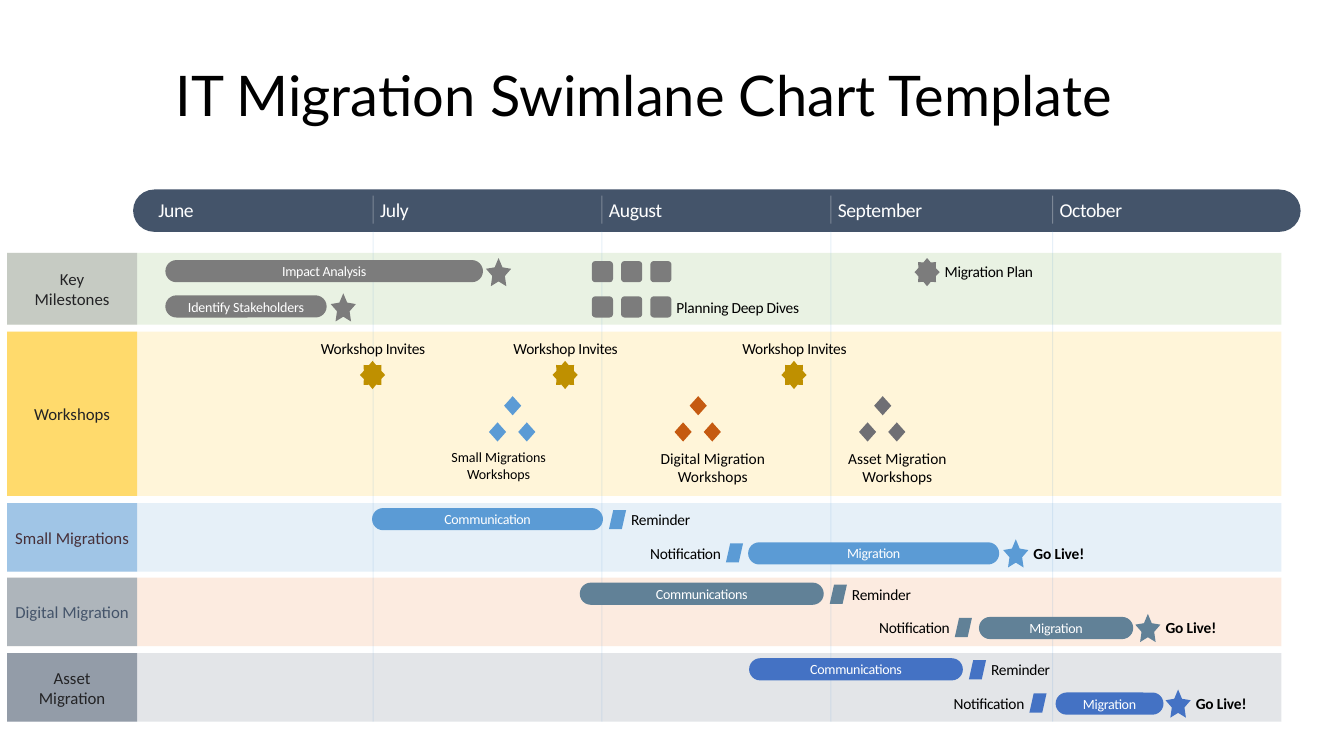
from lxml.etree import SubElement
from pptx import Presentation
from pptx.dml.color import RGBColor
from pptx.enum.shapes import MSO_CONNECTOR, MSO_SHAPE
from pptx.enum.text import MSO_ANCHOR, MSO_AUTO_SIZE, PP_ALIGN
from pptx.oxml.ns import qn
from pptx.util import Inches, Pt

GREY, BLUE, SLATE, ROYAL, NAVY = "7C7C7C", "5B9BD5", "618197", "4472C4", "44546A"
GOLD, INK, BLACK, WHITE = "BF9000", "232325", "000000", "FFFFFF"
LEFT, CENTER, RIGHT = PP_ALIGN.LEFT, PP_ALIGN.CENTER, PP_ALIGN.RIGHT
RECT, PILL = MSO_SHAPE.RECTANGLE, MSO_SHAPE.ROUNDED_RECTANGLE
STAR, BURST = MSO_SHAPE.STAR_5_POINT, MSO_SHAPE.STAR_8_POINT
SLANT, DIAMOND = MSO_SHAPE.PARALLELOGRAM, MSO_SHAPE.DIAMOND

prs = Presentation()
prs.slide_width, prs.slide_height = Inches(13.33), Inches(7.5)
slide = prs.slides.add_slide(prs.slide_layouts[5])


def paint(fill, color, owner=None, opacity=100):
    fill.solid()
    fill.fore_color.rgb = RGBColor.from_string(color)
    if opacity < 100:
        tone = next(owner.iter(qn("a:srgbClr")))
        SubElement(tone, qn("a:alpha"), val=str(opacity * 1000))


def place(kind, x, y, w, h, fill=None, opacity=100, words="", size=11,
          color=BLACK, align=CENTER, spacing=-20, bold=False, adjust=None, wrap=True):
    """Add a preset shape, or a text box when kind is None."""
    box = [Inches(v) for v in (x, y, w, h)]
    if kind is None:
        item = slide.shapes.add_textbox(*box)
    else:
        item = slide.shapes.add_shape(kind, *box)
        item.shadow.inherit = False
        item.line.fill.background()
        paint(item.fill, fill, item.element.spPr, opacity)
    if adjust is not None:
        item.adjustments[0] = adjust
    if words:
        frame = item.text_frame
        settings = {"margin_left": 0, "margin_right": 0, "margin_top": 0, "margin_bottom": 0,
                    "word_wrap": wrap, "vertical_anchor": MSO_ANCHOR.MIDDLE, "text": words}
        for name, value in settings.items():
            setattr(frame, name, value)
        for paragraph in frame.paragraphs:
            paragraph.alignment = align
            for run in paragraph.runs:
                for name, value in {"size": Pt(size), "name": "Calibri", "bold": bold}.items():
                    setattr(run.font, name, value)
                paint(run.font.fill, color)
                if spacing:
                    run.font._element.set("spc", str(spacing))


# Title
title = slide.shapes.title
for name, value in {"left": 1.64, "top": 0.55, "width": 9.57, "height": 0.77}.items():
    setattr(title, name, Inches(value))
title.text_frame.text = "IT Migration Swimlane Chart Template"
title.text_frame.auto_size = MSO_AUTO_SIZE.NONE
title.text_frame.vertical_anchor = MSO_ANCHOR.MIDDLE
heading = title.text_frame.paragraphs[0]
heading.alignment = LEFT
heading.font.size, heading.font.name = Pt(40), "Lato"
paint(heading.font.fill, BLACK)

# Lanes: name, top, height, band colour, label fill, label text colour
lanes = [
    ("Key\nMilestones", 2.51, 0.71, "70AD47", "A5A5A5", INK),
    ("Workshops", 3.29, 1.63, "FFC000", "FFC000", INK),
    ("Small Migrations", 4.99, 0.68, BLUE, BLUE, "47313A"),
    ("Digital Migration", 5.73, 0.68, "ED7D31", SLATE, NAVY),
    ("Asset\vMigration", 6.48, 0.68, NAVY, NAVY, INK),
]
for lane, top, height, band, label_fill, label_color in lanes:
    place(RECT, 0.07, top, 12.64, height, band, 15)
    place(RECT, 0.07, top, 1.29, height, label_fill, 50, lane, 12, label_color, spacing=0)

# Month header and dividers
place(PILL, 1.32, 1.88, 11.58, 0.42, NAVY, adjust=0.5)
months = [("June", 1.5, 0.45), ("July", 3.7, 0.38), ("August", 5.97, 0.6),
          ("September", 8.24, 0.94), ("October", 10.44, 0.69)]
for month, x, width in months:
    place(None, x + 0.07, 1.94, width, 0.28, words=month, size=14, color=WHITE,
          align=LEFT, spacing=-30, wrap=False)
for month, x, width in months[1:]:
    for top, bottom, color, opacity in [(2.29, 7.16, BLUE, 15), (1.94, 2.22, WHITE, 30)]:
        divider = slide.shapes.add_connector(
            MSO_CONNECTOR.STRAIGHT, Inches(x), Inches(top), Inches(x), Inches(bottom))
        divider.line.width = Pt(0.75)
        paint(divider.line.fill, color, divider.element.spPr, opacity)
        SubElement(divider.element.spPr, qn("a:effectLst"))

# Key milestones
for task, top, width, star_x, spacing in [("Impact Analysis", 2.58, 3.15, 4.82, -20),
                                          ("Identify Stakeholders", 2.93, 1.6, 3.28, -10)]:
    place(PILL, 1.64, top, width, 0.22, GREY, words=task, size=10, color=WHITE,
          spacing=spacing, adjust=0.5)
    place(STAR, star_x, top - 0.02, 0.25, 0.28, GREY, adjust=0.25)
    for column in range(3):
        place(PILL, 5.87 + 0.29 * column, top + 0.01, 0.21, 0.21, GREY)
place(None, 6.71, 2.92, 1.43, 0.25, words="Planning Deep Dives", align=LEFT)
place(BURST, 9.07, 2.56, 0.25, 0.28, GREY)
place(None, 9.37, 2.57, 1.06, 0.25, words="Migration Plan", align=LEFT)

# Workshops
for x in (3.57, 5.48, 7.75):
    place(BURST, x, 3.58, 0.25, 0.28, GOLD)
    place(None, x - 0.48, 3.33, 1.22, 0.25, words="Workshop Invites")
workshops = [
    ("Small Migrations Workshops", 5.0, BLUE, 4.37, 1.15, 0.45, 10),
    ("Digital Migration Workshops", 6.84, "C55A11", 6.43, 1.28, 0.49, 11),
    ("Asset Migration Workshops", 8.67, "6F6F74", 8.29, 1.22, 0.49, 11),
]
for workshop, x, color, label_x, width, height, size in workshops:
    for dx, y in [(0, 3.93), (-0.15, 4.19), (0.14, 4.19)]:
        place(DIAMOND, x + dx, y, 0.17, 0.19, color)
    place(None, label_x, 4.39, width, height, words=workshop, size=size, spacing=0)

# Migration lanes: top, colour, first bar, notification mark, migration bar, star
migrations = [
    (4.99, BLUE, "Communication", 3.69, 2.29, 7.2, 7.42, 2.49, 9.95),
    (5.73, SLATE, "Communications", 5.75, 2.42, 9.47, 9.71, 1.53, 11.26),
    (6.48, ROYAL, "Communications", 7.43, 2.12, 10.21, 10.47, 1.07, 11.56),
]
for top, color, notice, notice_x, notice_w, mark_x, move_x, move_w, star_x in migrations:
    for words, x, y, width in [(notice, notice_x, top + 0.05, notice_w),
                               ("Migration", move_x, top + 0.39, move_w)]:
        place(PILL, x, y, width, 0.22, color, words=words, size=10, color=WHITE, adjust=0.5)
    reminder_x = notice_x + notice_w + 0.06
    place(SLANT, reminder_x, top + 0.07, 0.17, 0.19, color)
    place(None, reminder_x + 0.22, top + 0.04, 0.67, 0.25, words="Reminder", align=LEFT)
    place(SLANT, mark_x, top + 0.4, 0.17, 0.19, color)
    place(None, mark_x - 0.9, top + 0.37, 0.85, 0.25, words="Notification", align=RIGHT)
    place(STAR, star_x, top + 0.36, 0.25, 0.28, color, adjust=0.25)
    place(None, star_x + 0.3, top + 0.37, 0.62, 0.25, words="Go Live!", align=LEFT,
          spacing=-10, bold=True)

prs.save("out.pptx")
